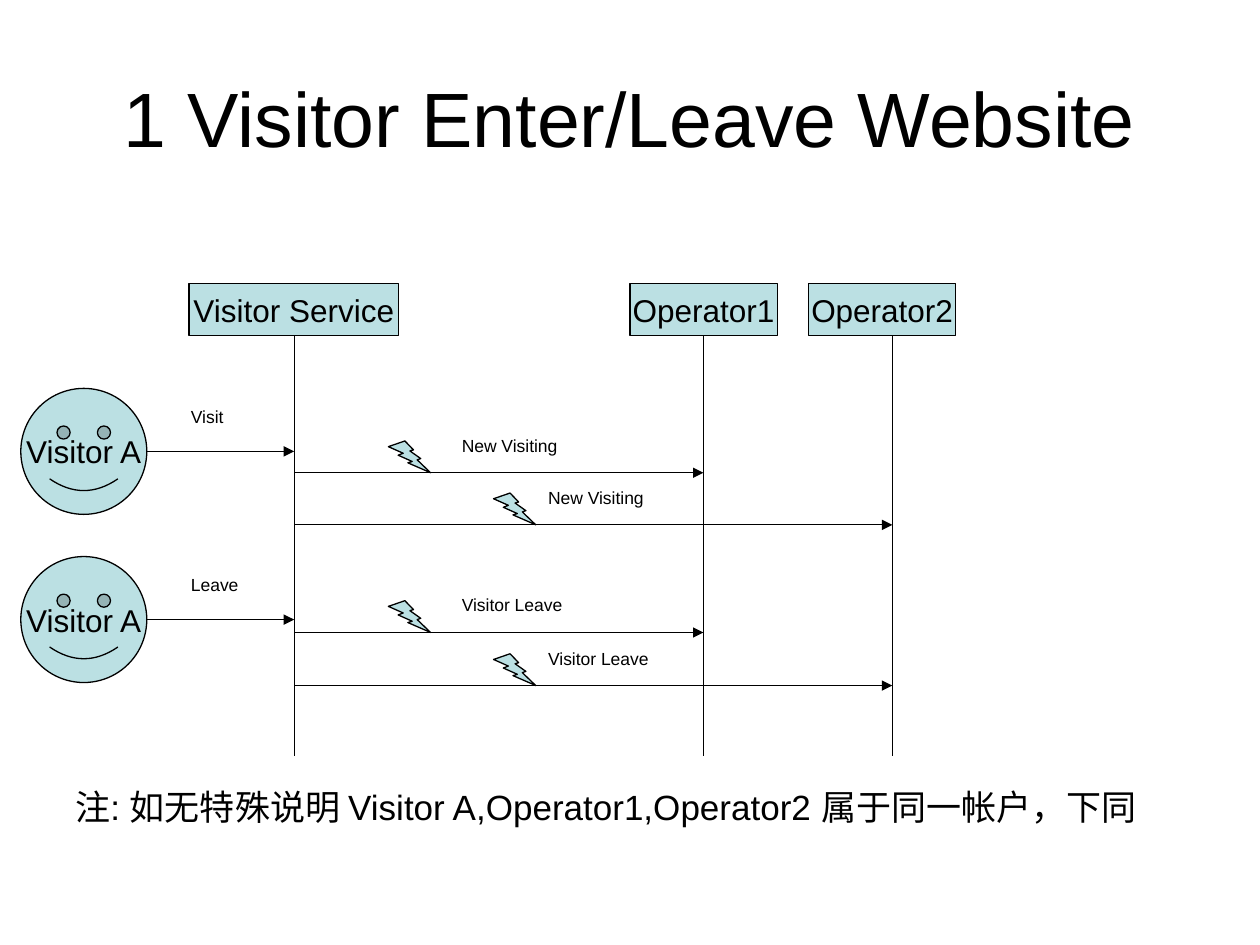
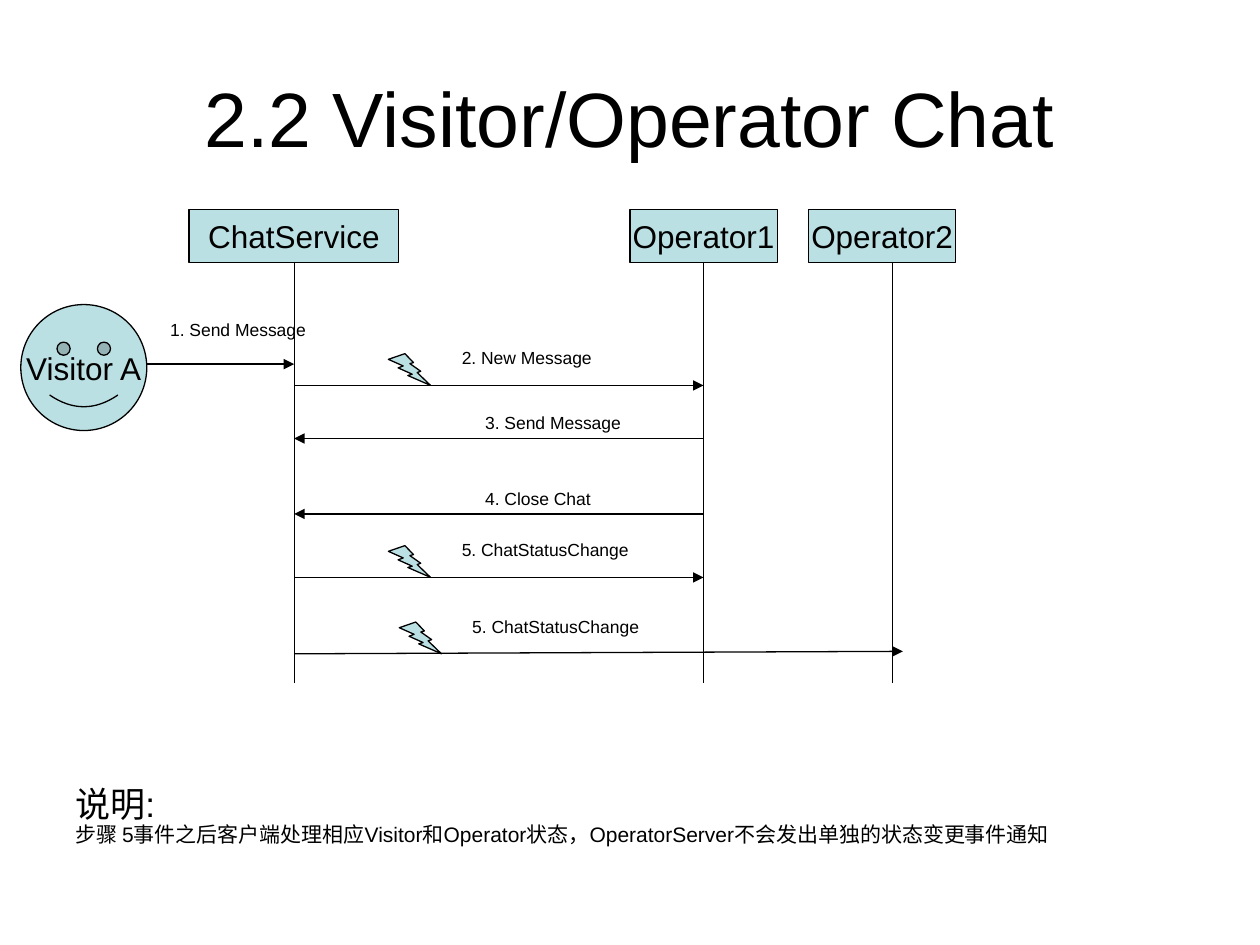
from lxml.etree import SubElement
from pptx import Presentation
from pptx.dml.color import RGBColor
from pptx.enum.shapes import MSO_CONNECTOR, MSO_SHAPE
from pptx.enum.text import MSO_ANCHOR, PP_ALIGN
from pptx.oxml.ns import qn
from pptx.util import Cm, Pt

HUES = {"ink": "000000", "fill": "BBE0E3"}
FONT = "Arial"
INK = RGBColor.from_string(HUES["ink"])
FILL = RGBColor.from_string(HUES["fill"])
THIN = Pt(0.74)

# Centre lines of the service and the two operators, edge of the visitor
VISIT, SERV, OP1, OP2 = 2.97, 5.93, 14.18, 17.99
HEAD_H, LIFE, FACE = 1.06, 8.47, 2.54
BOLT_W, BOLT_H = 0.85, 0.64

# How far a label sits above its arrow
CALL, EVENT, REPLY = 1.04, 0.89, 0.65

deck = Presentation()
deck.slide_width, deck.slide_height = Cm(25.4), Cm(19.05)


def add(page, kind, box, text="", size=18, align=PP_ALIGN.CENTER):
    """Add a filled shape, or a text box if kind is None, with its text."""
    place = [Cm(n) for n in box]
    if kind is None:
        item = page.shapes.add_textbox(*place)
    else:
        item = page.shapes.add_shape(kind, *place)
        item.shadow.inherit = False
        item.fill.solid()
        item.fill.fore_color.rgb = FILL
        item.line.color.rgb = INK
        item.line.width = THIN
    frame = item.text_frame
    frame.word_wrap = kind is None
    frame.vertical_anchor = MSO_ANCHOR.TOP if kind is None else MSO_ANCHOR.MIDDLE
    if text:
        para = frame.paragraphs[0]
        para.alignment = align
        run = para.add_run()
        run.text = text
        run.font.name, run.font.size = FONT, Pt(size)
        run.font.color.rgb = INK
    return item


def link(page, ends, arrow=False):
    """Draw a thin line, with an arrowhead at its end if asked."""
    item = page.shapes.add_connector(MSO_CONNECTOR.STRAIGHT, *[Cm(n) for n in ends])
    item.line.color.rgb = INK
    item.line.width = THIN
    props = item.element.spPr
    if arrow:
        SubElement(props.find(qn("a:ln")), qn("a:tailEnd"), type="triangle")
    SubElement(props, qn("a:effectLst"))


# Message: text, from x, y, to x, to y, label x, label width, lift, bolt x
pages = [
    {
        "title": "1 Visitor Enter/Leave Website",
        "name": "Visitor Service",
        "top": 5.71,
        "faces": [7.83, 11.22],
        "calls": [
            ("Visit", VISIT, 9.1, SERV, 9.1, 3.6, 1.47, CALL, None),
            ("New Visiting", SERV, 9.53, OP1, 9.53, 9.06, 2.44, EVENT, 7.83),
            ("New Visiting", SERV, 10.58, OP2, 10.58, 10.8, 2.44, EVENT, 9.95),
            ("Leave", VISIT, 12.49, SERV, 12.49, 3.6, 1.47, CALL, None),
            ("Visitor Leave", SERV, 12.75, OP1, 12.75, 9.06, 2.79, EVENT, 7.83),
            ("Visitor Leave", SERV, 13.82, OP2, 13.82, 10.8, 3.18, EVENT, 9.95),
        ],
        "space": 0.8,
        "notes": [("注: 如无特殊说明 Visitor A,Operator1,Operator2 属于同一帐户，下同", 20, 5)],
    },
    {
        "title": "2.2 Visitor/Operator Chat",
        "name": "ChatService",
        "top": 4.23,
        "faces": [6.14],
        "calls": [
            ("1. Send Message", VISIT, 7.34, SERV, 7.34, 3.18, 3.61, CALL, None),
            ("2. New Message", SERV, 7.77, OP1, 7.77, 9.06, 3.86, EVENT, 7.83),
            ("3. Send Message", OP1, 8.84, SERV, 8.84, 9.53, 3.61, REPLY, None),
            ("4. Close Chat", OP1, 10.36, SERV, 10.36, 9.53, 3.61, REPLY, None),
            ("5. ChatStatusChange", SERV, 11.64, OP1, 11.64, 9.06, 5.13, EVENT, 7.83),
            ("5. ChatStatusChange", SERV, 13.18, 18.2, 13.13, 9.27, 5.13, EVENT, 8.05),
        ],
        "space": 0.7,
        "notes": [
            ("说明:", 20, 5),
            ("步骤 5事件之后客户端处理相应Visitor和Operator状态，"
             "OperatorServer不会发出单独的状态变更事件通知", 12, 3),
        ],
    },
]

for data in pages:
    page = deck.slides.add_slide(deck.slide_layouts[6])
    title = add(page, None, (1.27, 0.76, 22.86, 3.18), data["title"], 44)
    title.text_frame.vertical_anchor = MSO_ANCHOR.MIDDLE

    # Heads and life lines
    top = data["top"]
    heads = [
        (MSO_SHAPE.FLOWCHART_PROCESS, data["name"], 3.81, 4.23, SERV),
        (MSO_SHAPE.RECTANGLE, "Operator1", 12.7, 2.97, OP1),
        (MSO_SHAPE.RECTANGLE, "Operator2", 16.3, 2.97, OP2),
    ]
    for kind, name, left, wide, mid in heads:
        add(page, kind, (left, top, wide, HEAD_H), name)
        link(page, (mid, top + HEAD_H, mid, top + HEAD_H + LIFE))

    # Visitors
    for y in data["faces"]:
        face = add(page, MSO_SHAPE.SMILEY_FACE, (0.42, y, FACE, FACE), "Visitor A")
        face.adjustments[0] = 0.093

    # Messages
    for text, x1, y1, x2, y2, left, wide, lift, bolt in data["calls"]:
        link(page, (x1, y1, x2, y2), arrow=True)
        if bolt:
            add(page, MSO_SHAPE.LIGHTNING_BOLT, (bolt, y1 - BOLT_H, BOLT_W, BOLT_H))
        add(page, None, (left, y1 - lift, wide, 0.69), text, 10, PP_ALIGN.LEFT)

    # Notes at the foot
    foot = add(page, None, (1.27, 15.88, 22.86, 1.35)).text_frame
    for i, (text, size, gap) in enumerate(data["notes"]):
        para = foot.add_paragraph() if i else foot.paragraphs[0]
        para.line_spacing = data["space"]
        para.space_before = Pt(gap)
        props = para._p.get_or_add_pPr()
        props.set("marL", str(Cm(0.95)))
        props.set("indent", str(-Cm(0.95)))
        run = para.add_run()
        run.text = text
        run.font.name, run.font.size = FONT, Pt(size)
        run.font.color.rgb = INK

deck.save("out.pptx")
